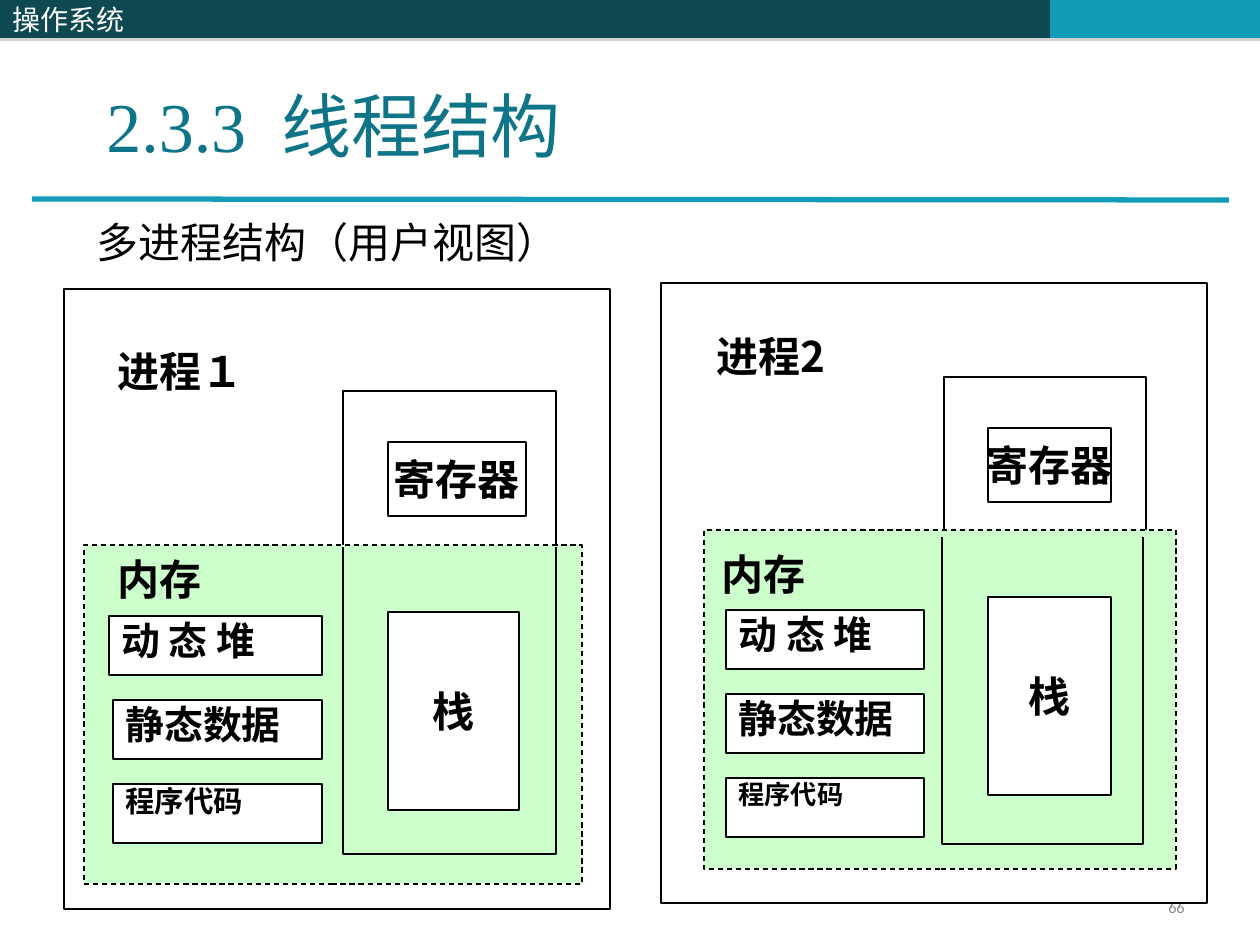
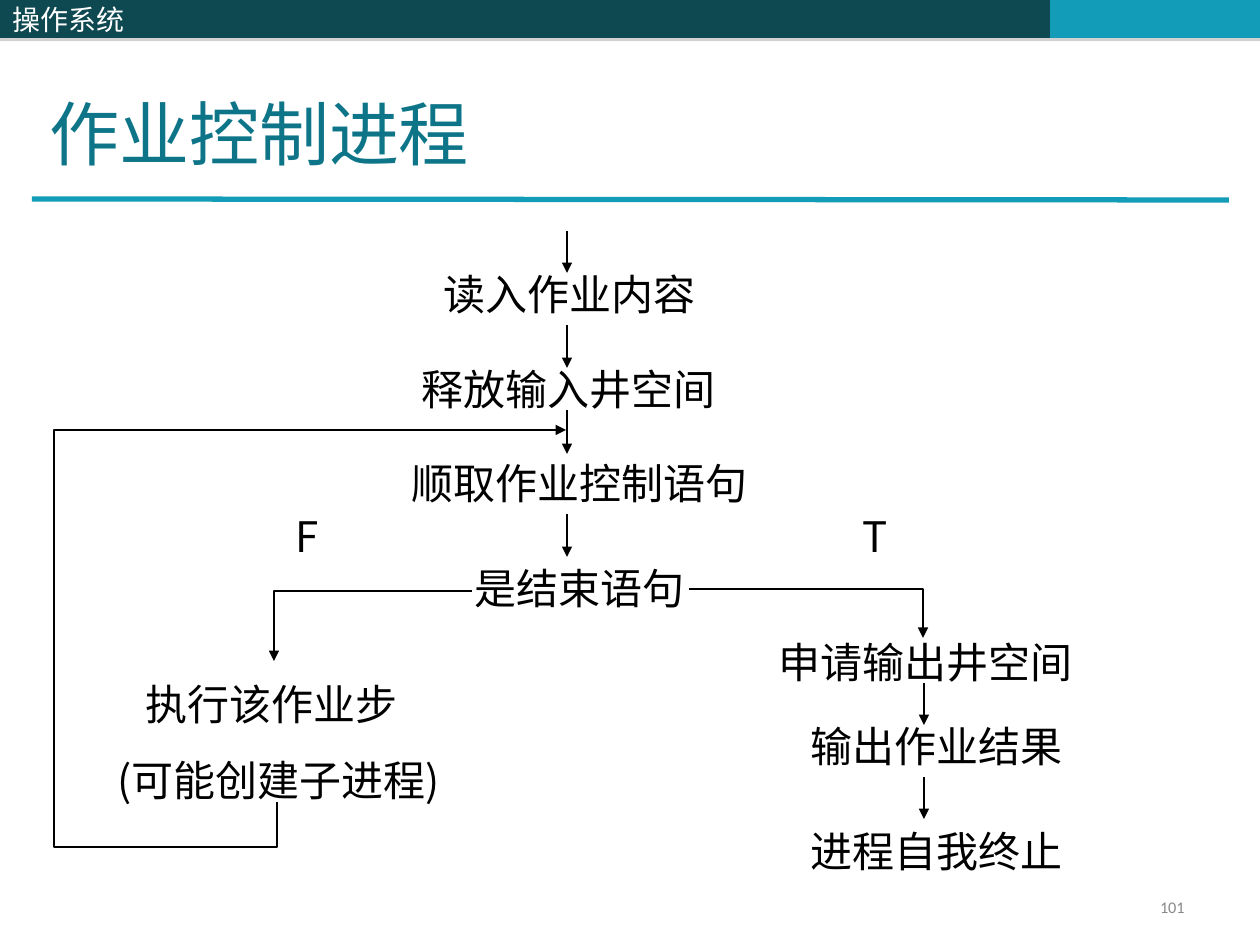
"""Build two operating-system slides: process structure and job control flow."""
from lxml import etree
from pptx import Presentation
from pptx import util as u
from pptx.dml.color import RGBColor
from pptx.enum import dml, shapes, text
from pptx.oxml import ns

PX = 914400 / 126
SANS, SERIF, FOOT = "Noto Sans CJK SC", "Times New Roman", "Calibri"
COLORS = {
    "band": "0E4851", "accent": "139CB7", "title": "0E7589", "ink": "000000",
    "paper": "FFFFFF", "memory": "CCFFCC", "page": "898989", "shadow": "808080",
}


def px(length):
    """Turn pixels into EMU."""
    return u.Emu(round(length * PX))


def rgb(name):
    """Look up a palette colour."""
    return RGBColor.from_string(COLORS[name])


def child(parent, tag, **attributes):
    """Append a DrawingML element."""
    return etree.SubElement(parent, ns.qn(tag), attributes)


def add_run(paragraph, words, size, color="ink", font=SANS, bold=False, gap=0):
    """Add one formatted run, with optional letter spacing in points."""
    run = paragraph.add_run()
    run.text = words
    run.font.size = u.Pt(size)
    run.font.bold = bold
    run.font.color.rgb = rgb(color)
    run.font.name = font
    properties = run.font._element
    child(properties, "a:ea", typeface=SANS)
    if gap:
        properties.set("spc", str(gap * 100))


def prepare(shape, anchor="TOP", align="LEFT", spacing=1.0, wrap=True):
    """Set up a text frame and return its first paragraph."""
    frame = shape.text_frame
    frame.word_wrap = wrap
    frame.vertical_anchor = getattr(text.MSO_ANCHOR, anchor)
    paragraph = frame.paragraphs[0]
    paragraph.alignment = getattr(text.PP_ALIGN, align)
    paragraph.line_spacing = spacing
    return paragraph


def add_box(slide, place, fill="paper", outlined=True, dashed=False):
    """Draw a flat rectangle."""
    box = slide.shapes.add_shape(shapes.MSO_SHAPE.RECTANGLE, *map(px, place))
    box.shadow.inherit = False
    box.fill.solid()
    box.fill.fore_color.rgb = rgb(fill)
    if outlined:
        box.line.color.rgb = rgb("ink")
        box.line.width = u.Pt(0.75)
    else:
        box.line.fill.background()
    if dashed:
        box.line.dash_style = dml.MSO_LINE.DASH
    return box


def add_label(slide, place, words, bold=False):
    """Place a text box in the body size."""
    label = slide.shapes.add_textbox(*map(px, place))
    add_run(prepare(label), words, 24, bold=bold)
    return label


def add_band(slide, left, width, color):
    """Draw one shadowed part of the header band."""
    band = add_box(slide, (left, 0, width, 38), color, outlined=False)
    effects = band._element.spPr.find(ns.qn("a:effectLst"))
    shadow = child(effects, "a:outerShdw", blurRad="0", dist=str(u.Pt(1.8)),
                   dir="5400000", algn="ctr", rotWithShape="0")
    tint = child(shadow, "a:srgbClr", val=COLORS["shadow"])
    child(tint, "a:alpha", val="35000")
    return band


def add_arrowhead(shape):
    """Put a triangle at the end of a line."""
    child(shape.line._get_or_add_ln(), "a:tailEnd", type="triangle")


def add_line(slide, start, end, color="ink", width=0.75):
    """Draw a straight connector without shadow."""
    line = slide.shapes.add_connector(
        shapes.MSO_CONNECTOR.STRAIGHT, *map(px, start + end))
    line.line.color.rgb = rgb(color)
    line.line.width = u.Pt(width)
    child(line._element.spPr, "a:effectLst")
    return line


def add_route(slide, start, *corners):
    """Draw an open angular line through the given points."""
    builder = slide.shapes.build_freeform(*start, scale=PX)
    builder.add_line_segments(corners, close=False)
    route = builder.convert_to_shape()
    route.shadow.inherit = False
    route.fill.background()
    route.line.color.rgb = rgb("ink")
    route.line.width = u.Pt(0.75)
    return route


def add_base(deck, page):
    """Add a slide with the header band, title rule and page number."""
    slide = deck.slides.add_slide(deck.slide_layouts[6])
    add_band(slide, 514, 536, "band")
    add_band(slide, 1050, 210, "accent")
    add_line(slide, (32, 199), (1229, 200), "accent", 3)
    course = add_band(slide, 0, 514, "band")
    add_run(prepare(course, "MIDDLE"), "操作系统", 16, "paper")
    number = slide.shapes.add_textbox(*map(px, (903, 892, 294, 34)))
    add_run(prepare(number, "MIDDLE", "RIGHT", 0.8), page, 9.3, "page", FOOT)
    return slide


def add_title(slide, place, *pieces):
    """Add a title from (words, letter spacing) pieces."""
    title = slide.shapes.add_textbox(*map(px, place))
    paragraph = prepare(title, "BOTTOM")
    for words, gap in pieces:
        add_run(paragraph, words, 40, "title", SERIF, gap=gap)


def add_segment(slide, place, words, size, spacing):
    """Draw one memory segment."""
    segment = add_box(slide, place)
    add_run(prepare(segment, spacing=spacing), words, size, bold=True)


def add_process(slide, name, name_place, panel, thread, memory, memory_label,
                segment_top, segment_spans, stack, registers, outline, code_size):
    """Draw a process with its memory, stack and registers."""
    add_box(slide, panel)
    add_box(slide, thread)
    add_box(slide, memory, "memory", dashed=True)
    segments = (("动 态 堆", 22.2, 0.9), ("静态数据", 22.2, 0.9),
                ("程序代码", code_size, 0.8))
    for row, ((left, width), segment) in enumerate(zip(segment_spans, segments)):
        add_segment(slide, (left, segment_top + 84 * row, width, 59), *segment)
    for place, words in ((stack, "栈"), (registers, "寄存器")):
        part = add_box(slide, place)
        add_run(prepare(part, "MIDDLE", "CENTER", wrap=False), words, 24, bold=True)
    heading = add_box(slide, name_place, outlined=False)
    add_run(prepare(heading), name, 24, bold=True)
    left, top, width, height = outline
    add_route(slide, (left, top), (left, top + height),
              (left + width, top + height), (left + width, top))
    add_label(slide, memory_label, "内存", bold=True)


def build_structure(deck):
    """Build the multi-process structure slide."""
    slide = add_base(deck, "66")
    add_title(slide, (94, 37, 1071, 136), ("2.3.3", 0), (" ", 10), ("线程结构", 0))
    add_label(slide, (84, 210, 525, 63), "多进程结构（用户视图）")
    add_process(
        slide, "进程2", name_place=(704, 324, 136, 113),
        panel=(661, 283, 546, 620), thread=(944, 377, 202, 472),
        memory=(704, 530, 472, 339), memory_label=(709, 542, 128, 63),
        segment_top=610, segment_spans=[(726, 198)] * 3,
        stack=(988, 597, 123, 198), registers=(988, 428, 123, 74),
        outline=(942, 537, 201, 307), code_size=15)
    add_process(
        slide, "进程１", name_place=(105, 339, 154, 63),
        panel=(64, 289, 546, 620), thread=(343, 391, 213, 472),
        memory=(84, 545, 498, 339), memory_label=(105, 547, 128, 63),
        segment_top=616, segment_spans=[(109, 213), (113, 209), (113, 209)],
        stack=(388, 612, 131, 198), registers=(388, 442, 138, 74),
        outline=(343, 547, 213, 307), code_size=16.8)


def build_job_control(deck):
    """Build the job control flow slide."""
    slide = add_base(deck, "101")
    add_title(slide, (37, 24, 1071, 157), ("作业控制进程", 0))
    steps = (
        ("读入作业内容", 431, 262, 284), ("释放输入井空间", 409, 357, 326),
        ("顺取作业控制语句", 399, 451, 378), ("是结束语句", 462, 556, 252),
        ("申请输出井空间", 766, 630, 326), ("输出作业结果", 798, 714, 284),
        ("进程自我终止", 798, 819, 284), ("F", 283, 504, 74), ("T", 850, 504, 74),
    )
    for words, left, top, width in steps:
        add_label(slide, (left, top, width, 63), words)
    job_step = add_label(slide, (105, 672, 368, 190), "执行该作业步")
    job_step.text_frame.paragraphs[0]._p.get_or_add_pPr().set("marL", str(px(28)))
    remark = job_step.text_frame.add_paragraph()
    remark.space_before = u.Pt(15)
    add_run(remark, "(可能创建子进程)", 24)

    for x, top, bottom in ((567, 231, 273), (567, 325, 368), (567, 410, 454),
                           (567, 514, 557), (924, 683, 725), (924, 777, 819)):
        add_arrowhead(add_line(slide, (x, top), (x, bottom)))
    for route in (
        ((472, 591), (274, 591), (274, 661)),
        ((277, 802), (277, 847), (54, 847), (54, 430), (566, 430)),
        ((689, 589), (923, 589), (923, 638)),
    ):
        add_arrowhead(add_route(slide, *route))


def main():
    """Build and save the presentation."""
    deck = Presentation()
    deck.slide_width, deck.slide_height = px(1260), px(945)
    build_structure(deck)
    build_job_control(deck)
    deck.save("out.pptx")


if __name__ == "__main__":
    main()
